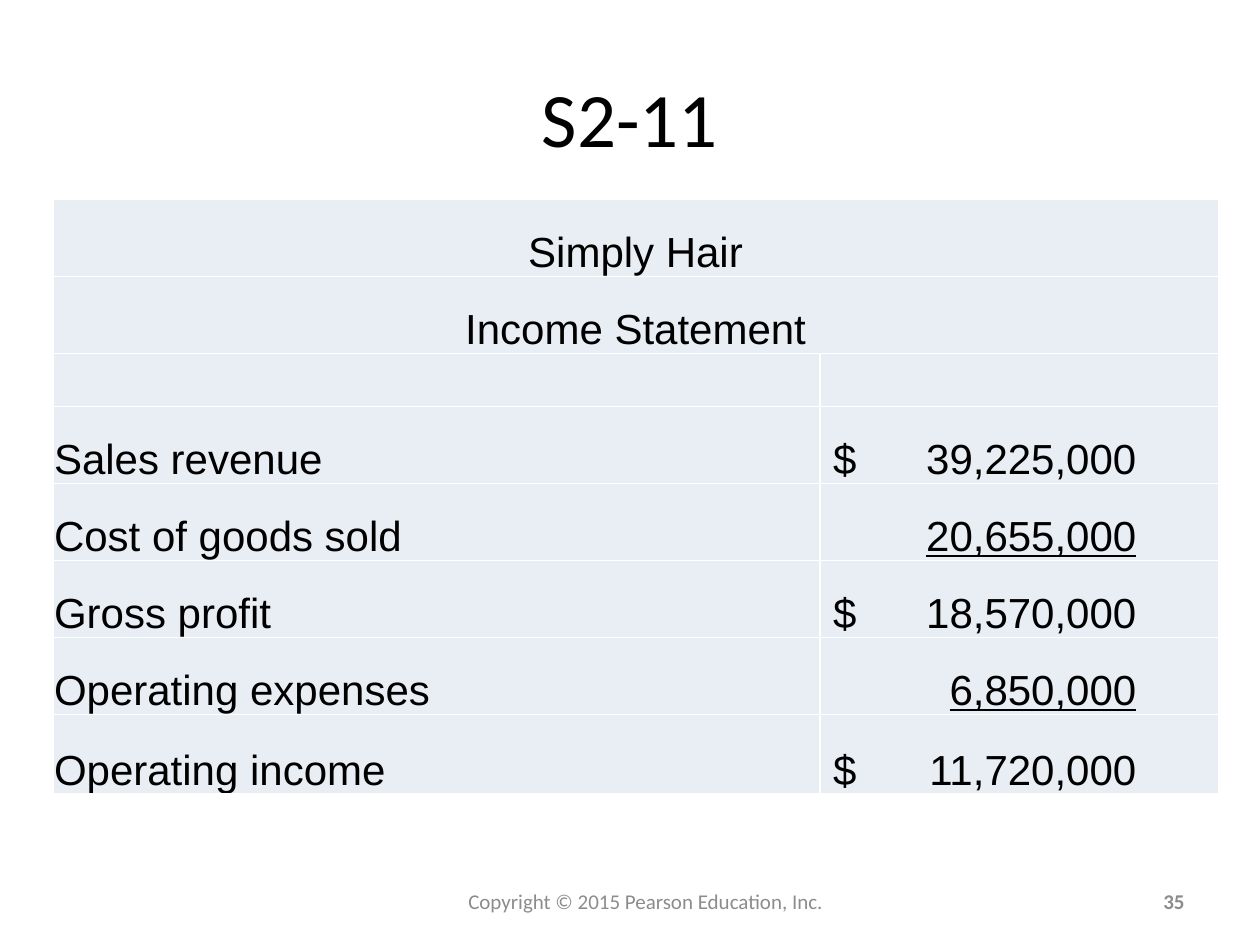
from dataclasses import dataclass

from lxml import etree
from pptx import Presentation
from pptx.dml import color
from pptx.enum import text
from pptx.oxml import ns
from pptx.util import Pt


@dataclass(frozen=True)
class Theme:
    ink: str = "000000"
    muted: str = "8C8C8C"
    cell: str = "E9EDF4"
    rule: str = "FFFFFF"
    heading_font: str = "Calibri"
    table_font: str = "Arial"
    title_size: float = 44
    table_size: float = 24
    footer_size: float = 12


@dataclass(frozen=True)
class Label:
    words: str
    left: float
    top: float
    width: float
    height: float
    size: float
    ink: str
    align: text.PP_ALIGN
    bold: bool = False


@dataclass(frozen=True)
class Line:
    """One statement line; the underline may run across the whole amount column."""
    name: str
    amount: str
    dollar: bool = False
    underline: bool = False
    full_rule: bool = False


THEME = Theme()
ALIGN = text.PP_ALIGN

LABELS = [
    Label("S2-11", 36, 21.6, 648, 90, THEME.title_size, THEME.ink, ALIGN.CENTER),
    Label("Copyright © 2015 Pearson Education, Inc.", 246, 500.4, 246, 28.8,
          THEME.footer_size, THEME.muted, ALIGN.CENTER),
    Label("35", 516, 500.4, 168, 28.8, THEME.footer_size, THEME.muted,
          ALIGN.RIGHT, bold=True),
]
HEADINGS = ["Simply Hair", "Income Statement"]
LINES = [
    Line("Sales revenue", "39,225,000", dollar=True),
    Line("Cost of goods sold", "20,655,000", underline=True),
    Line("Gross profit", "18,570,000", dollar=True),
    Line("Operating expenses", "6,850,000", underline=True, full_rule=True),
    Line("Operating income", "11,720,000", dollar=True),
]
COLUMNS = [438.5, 227.5]
ROWS = [44, 44, 30.3, 44, 44, 44, 44, 45.4]
# Dollar sign, right edge of the amounts, end of the full-width rule
TAB_STOPS = [(6.7, "l"), (180, "r"), (186.7, "l")]


def add_span(para, words: str, size: float, font: str, ink: str,
             bold: bool = False, underline: bool = False) -> None:
    span = para.add_run()
    span.text = words
    span.font.size = Pt(size)
    span.font.name = font
    span.font.bold = bold
    span.font.underline = underline
    span.font.color.rgb = color.RGBColor.from_string(ink)


def add_cell_span(para, words: str, underline: bool = False) -> None:
    add_span(para, words, THEME.table_size, THEME.table_font, THEME.ink,
             underline=underline)


def add_label(page, label: Label) -> None:
    box = page.shapes.add_textbox(Pt(label.left), Pt(label.top),
                                  Pt(label.width), Pt(label.height))
    frame = box.text_frame
    frame.word_wrap = True
    frame.vertical_anchor = text.MSO_ANCHOR.MIDDLE
    para = frame.paragraphs[0]
    para.alignment = label.align
    add_span(para, label.words, label.size, THEME.heading_font, label.ink, label.bold)


def style_cell(cell) -> None:
    cell.margin_left = cell.margin_right = cell.margin_top = Pt(0.7)
    cell.margin_bottom = 0
    cell.vertical_anchor = text.MSO_ANCHOR.BOTTOM
    props = cell._tc.get_or_add_tcPr()
    for side in ("lnL", "lnR", "lnT", "lnB"):
        border = etree.SubElement(props, ns.qn(f"a:{side}"), w=str(Pt(1)))
        fill = etree.SubElement(border, ns.qn("a:solidFill"))
        etree.SubElement(fill, ns.qn("a:srgbClr"), val=THEME.rule)
    cell.fill.solid()
    cell.fill.fore_color.rgb = color.RGBColor.from_string(THEME.cell)


def add_tab_stops(para) -> None:
    stops = etree.SubElement(para._p.get_or_add_pPr(), ns.qn("a:tabLst"))
    for place, align in TAB_STOPS:
        etree.SubElement(stops, ns.qn("a:tab"), pos=str(Pt(place)), algn=align)


def fill_amount(cell, line: Line) -> None:
    para = cell.text_frame.paragraphs[0]
    add_tab_stops(para)
    lead = "\t$\t" if line.dollar else "\t\t"
    if line.full_rule:
        add_cell_span(para, f"{lead}{line.amount}\t", underline=True)
    else:
        add_cell_span(para, lead)
        add_cell_span(para, line.amount, line.underline)


def add_statement(page) -> None:
    table = page.shapes.add_table(len(ROWS), len(COLUMNS), Pt(30.2), Pt(114),
                                  Pt(sum(COLUMNS)), Pt(sum(ROWS))).table
    table.first_row = table.horz_banding = False
    for column, width in zip(table.columns, COLUMNS):
        column.width = Pt(width)
    for row, height in zip(table.rows, ROWS):
        row.height = Pt(height)
        for cell in row.cells:
            style_cell(cell)

    # Headings across both columns
    for index, heading in enumerate(HEADINGS):
        cell = table.cell(index, 0)
        cell.merge(table.cell(index, 1))
        para = cell.text_frame.paragraphs[0]
        para.alignment = ALIGN.CENTER
        add_cell_span(para, heading)

    # Statement lines, after one empty row
    for index, line in enumerate(LINES, start=len(HEADINGS) + 1):
        add_cell_span(table.cell(index, 0).text_frame.paragraphs[0], line.name)
        fill_amount(table.cell(index, 1), line)


def main() -> None:
    deck = Presentation()
    deck.slide_width, deck.slide_height = Pt(720), Pt(540)
    page = deck.slides.add_slide(deck.slide_layouts[6])
    add_statement(page)
    for label in LABELS:
        add_label(page, label)
    deck.save("out.pptx")


if __name__ == "__main__":
    main()
